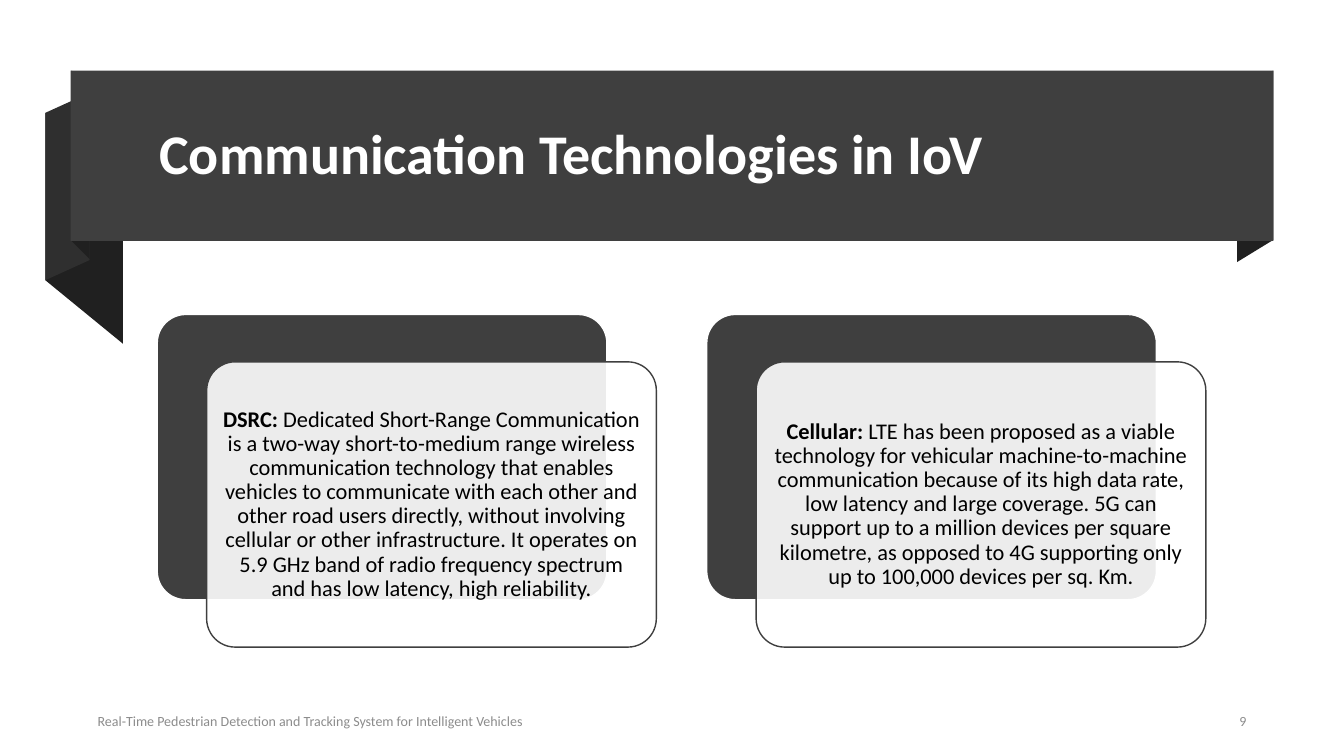
from lxml.etree import SubElement
from pptx import Presentation
from pptx.dml.color import RGBColor
from pptx.enum.shapes import MSO_SHAPE as Preset
from pptx.enum.text import MSO_ANCHOR as Anchor, MSO_AUTO_SIZE as AutoSize, PP_ALIGN as Align
from pptx.oxml.ns import qn
from pptx.util import Inches, Pt

# The grid has one-inch cells
COLUMNS, ROWS = 13.33, 7.5
COLORS = {
    "white": "FFFFFF",
    "black": "000000",
    "ribbon": "3F3F3F",
    "fold": "2F2F2F",
    "shade": "202020",
    "footer": "8C8C8C",
}
FONT = "Calibri"


def color(name):
    return RGBColor.from_string(COLORS[name])


class SlideBuilder:
    def __init__(self, presentation):
        self.slide = presentation.slides.add_slide(presentation.slide_layouts[5])
        self.shapes = self.slide.shapes

    def cells(self, *lengths):
        return [Inches(length) for length in lengths]

    def paint(self, shape, fill, line=None, opacity=None):
        shape.shadow.inherit = False
        shape.fill.solid()
        shape.fill.fore_color.rgb = color(fill)
        if opacity is not None:
            fill_color = shape.element.spPr.find(qn("a:solidFill"))[0]
            SubElement(fill_color, qn("a:alpha"), val=str(opacity * 1000))
        if line:
            shape.line.color.rgb = color(line)
            shape.line.width = Pt(1)
        else:
            shape.line.fill.background()

    def set_text(self, shape, parts, size, text_color, align=Align.LEFT, spacing=None, margin=0.1):
        """Fill a shape with one paragraph of (text, bold) parts."""
        frame = shape.text_frame
        frame.word_wrap = True
        frame.auto_size = AutoSize.NONE
        frame.vertical_anchor = Anchor.MIDDLE
        frame.margin_left = frame.margin_right = Inches(margin)
        frame.margin_top = frame.margin_bottom = Inches(min(margin, 0.07))
        paragraph = frame.paragraphs[0]
        paragraph.alignment = align
        if spacing:
            paragraph.line_spacing = spacing
        for text, bold in parts:
            run = paragraph.add_run()
            run.text = text
            run.font.name = FONT
            run.font.size = Pt(size)
            run.font.bold = bold
            run.font.color.rgb = color(text_color)

    def polygon(self, points, fill):
        start, *others = [self.cells(*point) for point in points]
        builder = self.shapes.build_freeform(*start)
        builder.add_line_segments(others, close=True)
        self.paint(builder.convert_to_shape(), fill)

    def box(self, preset, place, fill, line=None, opacity=None):
        shape = self.shapes.add_shape(preset, *self.cells(*place))
        self.paint(shape, fill, line, opacity)
        return shape

    def title(self, text, place):
        title = self.shapes.title
        title.left, title.top, title.width, title.height = self.cells(*place)
        self.set_text(title, [(text, True)], 40, "white", spacing=0.9)
        # Bring the title in front of the ribbon
        title.element.getparent().append(title.element)

    def label(self, text, place, align=Align.LEFT):
        label = self.shapes.add_textbox(*self.cells(*place))
        self.set_text(label, [(text, False)], 10, "footer", align)

    def card(self, left, top, heading, body):
        width, height = 4.46, 2.83
        back = self.box(Preset.ROUNDED_RECTANGLE, (left, top, width, height), "ribbon", "white")
        front = self.box(Preset.ROUNDED_RECTANGLE, (left + 0.49, top + 0.47, width, height),
                         "white", "ribbon", opacity=90)
        back.adjustments[0] = front.adjustments[0] = 0.1
        self.set_text(front, [(heading + " ", True), (body, False)], 16, "black",
                      Align.CENTER, spacing=0.9, margin=0.07)


FOLDS = [
    ("shade", [(12.63, 2.38), (12.27, 2.6), (12.27, 0.91), (12.63, 0.7)]),
    ("shade", [(1.22, 3.41), (0.45, 2.78), (0.45, 1.12), (1.22, 1.75)]),
    ("fold", [(0.89, 2.58), (0.45, 2.78), (0.45, 1.12), (0.89, 0.92)]),
    ("shade", [(0.89, 2.57), (0.71, 2.39), (0.71, 0.7), (0.89, 0.89)]),
]
CARDS = [
    ("DSRC:",
     "Dedicated Short-Range Communication is a two-way short-to-medium range wireless "
     "communication technology that enables vehicles to communicate with each other and other "
     "road users directly, without involving cellular or other infrastructure. It operates on "
     "5.9 GHz band of radio frequency spectrum and has low latency, high reliability."),
    ("Cellular:",
     "LTE has been proposed as a viable technology for vehicular machine-to-machine "
     "communication because of its high data rate, low latency and large coverage. 5G can "
     "support up to a million devices per square kilometre, as opposed to 4G supporting only "
     "up to 100,000 devices per sq. Km."),
]


def main():
    presentation = Presentation()
    presentation.slide_width, presentation.slide_height = Inches(COLUMNS), Inches(ROWS)
    builder = SlideBuilder(presentation)

    # Folded ribbon with the title
    for fill, points in FOLDS:
        builder.polygon(points, fill)
    builder.box(Preset.RECTANGLE, (0.7, 0.7, 11.93, 1.69), "ribbon")
    builder.title("Communication Technologies in IoV", (1.48, 0.83, 10.94, 1.45))

    # Footer
    builder.label("Real-Time Pedestrian Detection and Tracking System for Intelligent Vehicles",
                  (0.87, 6.98, 7.39, 0.35))
    builder.label("9", (11.71, 6.98, 0.75, 0.35), Align.RIGHT)

    # Technology cards
    for index, (heading, body) in enumerate(CARDS):
        builder.card(1.56 + 5.45 * index, 3.12, heading, body)

    presentation.save("out.pptx")


if __name__ == "__main__":
    main()
